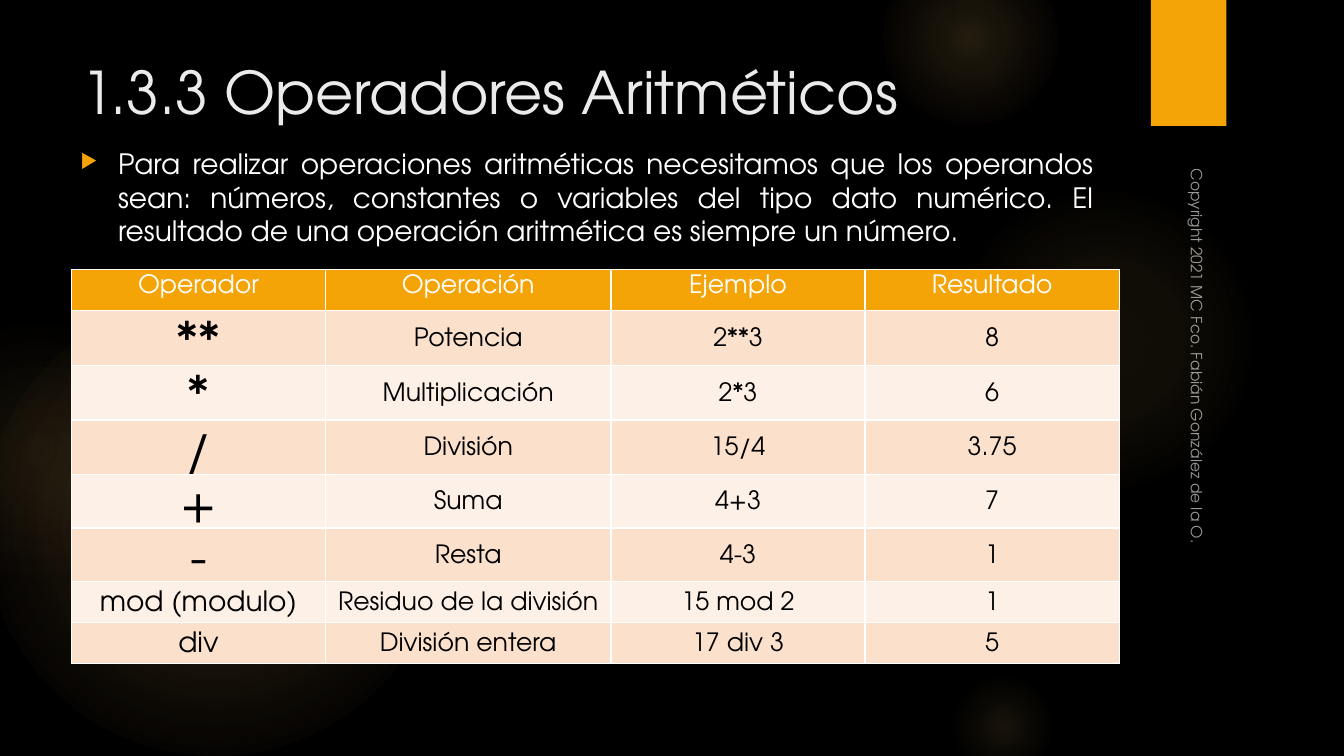
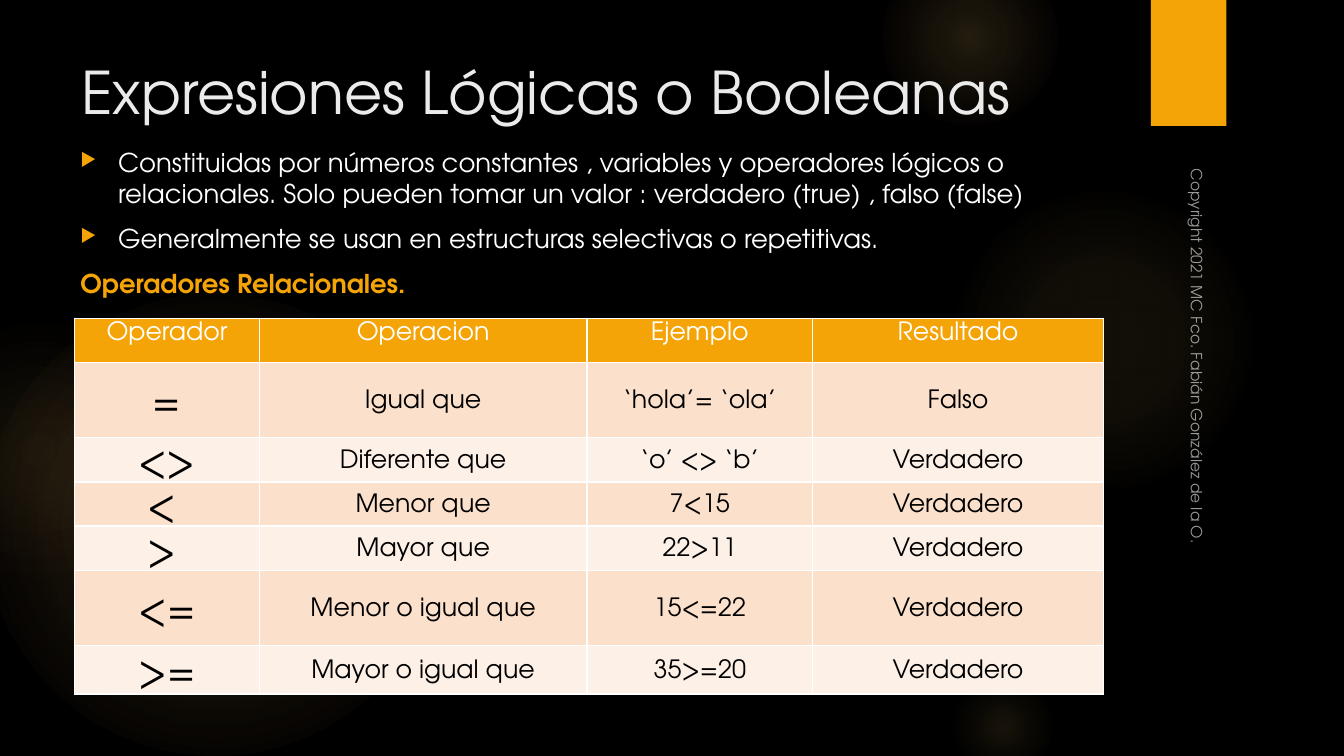
from lxml import etree
from pptx import Presentation
from pptx.dml.color import RGBColor
from pptx.enum import shapes, text
from pptx.oxml import parse_xml
from pptx.oxml.ns import nsdecls, qn
from pptx.util import Pt

PX = 9525
FONT = "TeX Gyre Adventor"
BLACK = RGBColor(0x00, 0x00, 0x00)
WHITE = RGBColor(0xFF, 0xFF, 0xFF)
PALE = RGBColor(0xEB, 0xEB, 0xEB)
AMBER = RGBColor(0xF5, 0xA4, 0x08)
GOLD = RGBColor(0xFA, 0xC9, 0x6A)
CORAL = RGBColor(0xF5, 0x9B, 0x74)
PEACH = RGBColor(0xFB, 0xE0, 0xCC)
CREAM = RGBColor(0xFD, 0xF0, 0xE7)

GLOWS = [
    (-16, 280, 440, [(0, GOLD, 11), (36, GOLD, 10), (75, GOLD, 0)]),
    (-88, 304, 248, [(0, GOLD, 8), (36, GOLD, 5), (71, CORAL, 0)]),
    (903, 176, 296, [(0, GOLD, 7), (36, GOLD, 6), (69, GOLD, 0)]),
    (840, -48, 168, [(0, GOLD, 14), (36, GOLD, 7), (73, GOLD, 0)]),
    (903, 640, 104, [(0, GOLD, 10), (31, GOLD, 5), (66, GOLD, 0)]),
]
CREDIT = "Copyright 2021 MC Fco. Fabián González de la O."
MATH = [
    ("Operador", "Operación", "Ejemplo", "Resultado"),
    ("**", "Potencia", "2**3", "8"),
    ("*", "Multiplicación", "2*3", "6"),
    ("/", "División", "15/4", "3.75"),
    ("+", "Suma", "4+3", "7"),
    ("-", "Resta", "4-3", "1"),
    ("mod (modulo)", "Residuo de la división", "15 mod 2", "1"),
    ("div", "División entera", "17 div 3", "5"),
]
LOGIC = [
    ("Operador", "Operacion", "Ejemplo", "Resultado"),
    ("=", "Igual que", "‘hola’= ‘ola’", "Falso"),
    ("<>", "Diferente que", "‘o’ <> ‘b’", "Verdadero"),
    ("< ", "Menor que", "7<15", "Verdadero"),
    ("> ", "Mayor que", "22>11", "Verdadero"),
    ("<=", "Menor o igual que", "15<=22", "Verdadero"),
    (">=", "Mayor o igual que", "35>=20", "Verdadero"),
]


def px(*sizes):
    """Turn px lengths into EMU."""
    return [size * PX for size in sizes]


def add_run(para, words, size, color, bold=False):
    """Add one styled run and return it."""
    run = para.add_run()
    run.text = words
    run.font.name = FONT
    run.font.size = Pt(size)
    run.font.bold = bold
    run.font.color.rgb = color
    return run


def add_box(slide, *place):
    """Add an empty wrapping text box."""
    box = slide.shapes.add_textbox(*px(*place))
    box.text_frame.word_wrap = True
    return box


def add_form(slide, kind, *place):
    """Add a preset shape without line or shadow."""
    form = slide.shapes.add_shape(kind, *px(*place))
    form.shadow.inherit = False
    form.line.fill.background()
    return form


def add_glow(slide, left, top, size, stops):
    """Add a circle that fades out from its centre."""
    form = add_form(slide, shapes.MSO_SHAPE.OVAL, left, top, size, size)
    marks = "".join(
        f'<a:gs pos="{pos * 1000}"><a:srgbClr val="{color}">'
        f'<a:alpha val="{alpha * 1000}"/></a:srgbClr></a:gs>'
        for pos, color, alpha in stops)
    fade = parse_xml(
        f'<a:gradFill {nsdecls("a")}><a:gsLst>{marks}</a:gsLst>'
        '<a:path path="circle"><a:fillToRect l="50000" t="50000" '
        'r="50000" b="50000"/></a:path></a:gradFill>')
    form._element.spPr.find(qn("a:prstGeom")).addnext(fade)


def add_base(prs, title):
    """Add a slide with the shared backdrop, tab, title and credit."""
    slide = prs.slides.add_slide(prs.slide_layouts[6])
    back = slide.background.fill
    back.solid()
    back.fore_color.rgb = BLACK
    for glow in GLOWS:
        add_glow(slide, *glow)
    tab = add_form(slide, shapes.MSO_SHAPE.RECTANGLE, 1096, 0, 72, 120)
    tab.fill.solid()
    tab.fill.fore_color.rgb = AMBER
    head = add_box(slide, 68, 48, 988, 83)
    add_run(head.text_frame.paragraphs[0], title, 42, PALE)
    note = add_box(slide, 940, 338, 405, 32)
    note.rotation = 90
    note.text_frame.vertical_anchor = text.MSO_ANCHOR.BOTTOM
    run = add_run(note.text_frame.paragraphs[0], CREDIT, 11, WHITE)
    tint = run._r.rPr.find(".//" + qn("a:srgbClr"))
    etree.SubElement(tint, qn("a:alpha"), val="60000")
    return slide


def add_mark(para):
    """Give a paragraph a hanging amber arrow bullet."""
    props = para._p.get_or_add_pPr()
    props.set("marL", str(36 * PX))
    props.set("indent", str(-36 * PX))
    tint = etree.SubElement(props, qn("a:buClr"))
    etree.SubElement(tint, qn("a:srgbClr"), val=str(AMBER))
    etree.SubElement(props, qn("a:buSzPct"), val="70000")
    etree.SubElement(props, qn("a:buChar"), char="▶")


def add_body(slide, high, size, items, align, label=None):
    """Add bullets and an optional amber label below them."""
    frame = add_box(slide, 67, 135, 984, high).text_frame
    lines = items + [label] if label else items
    for i, words in enumerate(lines):
        para = frame.add_paragraph() if i else frame.paragraphs[0]
        para.alignment = align
        para.space_before = Pt(4)
        para.space_after = Pt(6)
        if words == label:
            add_run(para, words, size, AMBER, True)
        else:
            add_mark(para)
            add_run(para, words, size, WHITE)


def add_edges(cell):
    """Draw thin white borders around a cell."""
    props = cell._tc.get_or_add_tcPr()
    for i, side in enumerate(("lnL", "lnR", "lnT", "lnB")):
        edge = parse_xml(
            f'<a:{side} {nsdecls("a")} w="{Pt(1)}"><a:solidFill>'
            f'<a:srgbClr val="{WHITE}"/></a:solidFill></a:{side}>')
        props.insert(i, edge)


def fill_cell(cell, words, size, color, fill, tight):
    """Fill one centred cell, keeping large signs within their row."""
    cell.fill.solid()
    cell.fill.fore_color.rgb = fill
    para = cell.text_frame.paragraphs[0]
    para.alignment = text.PP_ALIGN.CENTER
    if tight:
        large = size > 20
        cell.margin_left, cell.margin_right = px(7, 7)
        cell.margin_top = 0
        cell.margin_bottom = -round(size * 0.42) * PX if large else 0
        para.line_spacing = 0.88 if large else 1.15
    add_run(para, words, size, color)
    add_edges(cell)


def add_grid(slide, left, top, cols, rows, data, signs, tight):
    """Add a banded table whose first column has its own text sizes."""
    shape = slide.shapes.add_table(
        len(rows), len(cols), *px(left, top, sum(cols), sum(rows)))
    grid = shape.table
    grid.first_row = grid.horz_banding = False
    for col, wide in zip(grid.columns, cols):
        col.width = wide * PX
    for r, (high, line) in enumerate(zip(rows, data)):
        grid.rows[r].height = high * PX
        for c, words in enumerate(line):
            cell = grid.cell(r, c)
            if r == 0:
                fill_cell(cell, words, 18, WHITE, AMBER, tight)
                continue
            cell.vertical_anchor = text.MSO_ANCHOR.MIDDLE
            size = 18 if c else signs[r - 1]
            band = PEACH if r % 2 else CREAM
            fill_cell(cell, words, size, BLACK, band, True)


def add_math(prs):
    """Build the slide on arithmetic operators."""
    slide = add_base(prs, "1.3.3 Operadores Aritméticos")
    add_body(slide, 117, 20, [
        "Para realizar operaciones aritméticas necesitamos que los operandos "
        "sean: números, constantes o variables del tipo dato numérico. El "
        "resultado de una operación aritmética es siempre un número.",
    ], text.PP_ALIGN.JUSTIFY)
    add_grid(slide, 68, 257, [242, 272, 242, 242],
             [39] + [52] * 3 + [51] * 2 + [39] * 2,
             MATH, [36] * 5 + [20] * 2, False)


def add_logic(prs):
    """Build the slide on relational operators."""
    slide = add_base(prs, "Expresiones Lógicas o Booleanas")
    add_body(slide, 157, 18.5, [
        "Constituidas por números constantes , variables y operadores lógicos "
        "o relacionales. Solo pueden tomar un valor : verdadero (true) , "
        "falso (false)",
        "Generalmente se usan en estructuras selectivas o repetitivas.",
    ], text.PP_ALIGN.LEFT, "Operadores Relacionales.")
    add_grid(slide, 71, 303, [176, 312, 215, 277],
             [42, 72, 42, 42, 42, 72, 46], LOGIC, [28] * 6, True)


def main():
    """Build and save the presentation."""
    prs = Presentation()
    prs.slide_width, prs.slide_height = px(1280, 720)
    add_math(prs)
    add_logic(prs)
    prs.save("out.pptx")


if __name__ == "__main__":
    main()
